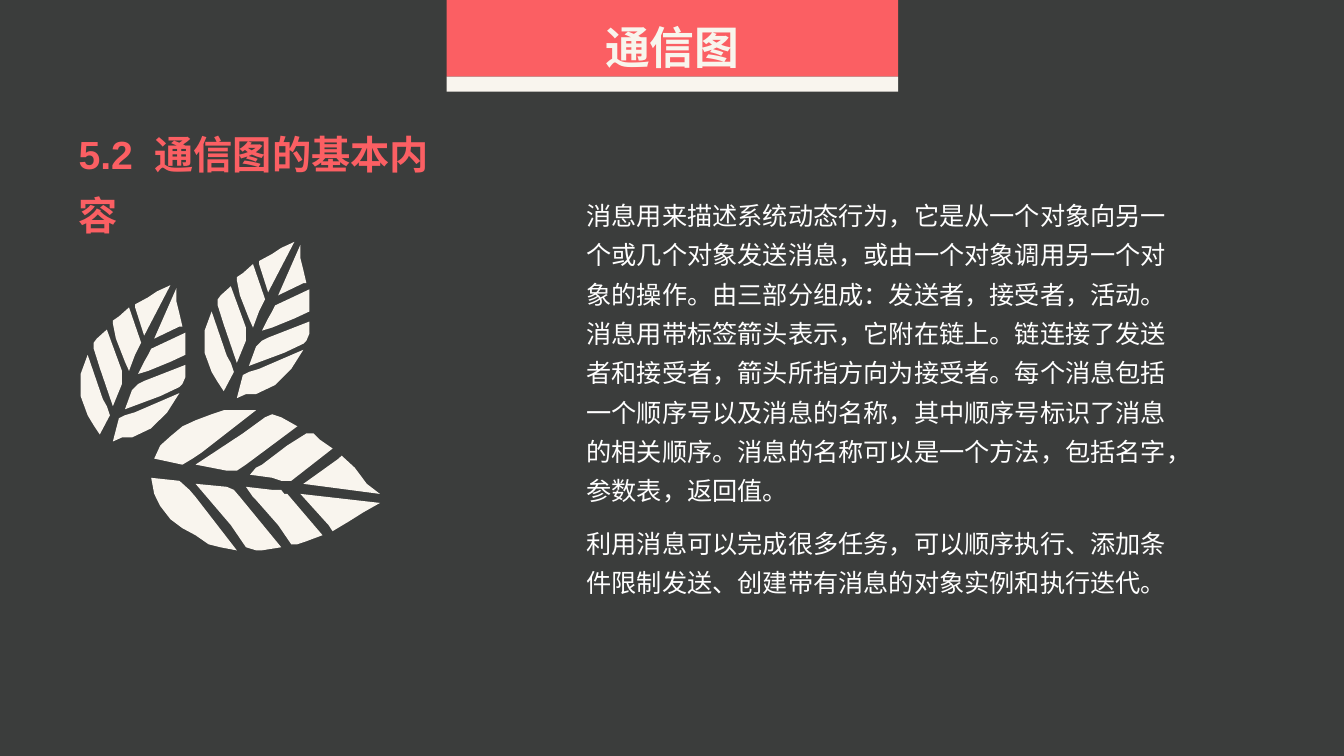
"""Build the slide on the basic content of communication diagrams."""
from dataclasses import dataclass

from lxml import etree
from pptx import Presentation
from pptx import util as u
from pptx.dml.color import RGBColor
from pptx.enum import shapes, text
from pptx.oxml import ns


@dataclass(frozen=True)
class Theme:
    back: str = "3B3D3C"
    coral: str = "FB5F63"
    cream: str = "F9F5EE"
    title: str = "F8F5ED"
    body: str = "FFFFFF"
    latin: str = "Arial"
    han: str = "Noto Sans CJK SC"
    big: int = 32
    mid: int = 28
    small: int = 18


class Deck:
    """Hold the theme and the current slide."""

    def __init__(self, theme):
        self.theme = theme
        self.prs = Presentation()
        self.prs.slide_width, self.prs.slide_height = u.Pt(960), u.Pt(540)
        self.slide = self.prs.slides.add_slide(self.prs.slide_layouts[6])
        self.paint(self.slide.background, theme.back)

    def paint(self, item, color):
        item.fill.solid()
        item.fill.fore_color.rgb = RGBColor.from_string(color)

    def finish(self, shape, color):
        self.paint(shape, color)
        shape.line.fill.background()
        shape.shadow.inherit = False

    def bar(self, box, color):
        kind = shapes.MSO_SHAPE.RECTANGLE
        self.finish(self.slide.shapes.add_shape(kind, *map(u.Pt, box)), color)

    def label(self, box, words, size, color, face, bold=False, mid=False):
        frame = self.slide.shapes.add_textbox(*map(u.Pt, box)).text_frame
        frame.word_wrap = True
        para = frame.paragraphs[0]
        para.line_spacing = 1.3
        if mid:
            frame.vertical_anchor = text.MSO_ANCHOR.MIDDLE
            para.alignment = text.PP_ALIGN.CENTER
        for word in words:
            para.add_run().text = word
        font = para.font
        font.name, font.size, font.bold = face, u.Pt(size), bold
        font.color.rgb = RGBColor.from_string(color)
        props = para._p.pPr.find(ns.qn("a:defRPr"))
        etree.SubElement(props, ns.qn("a:ea"), typeface=self.theme.han)
        return para

    def leaf(self, parts, dx=0, dy=0):
        group = self.slide.shapes.add_group_shape()
        for part in parts:
            first, *rest = [(x + dx, y + dy) for x, y in part]
            path = group.shapes.build_freeform(*first, scale=u.Pt(0.72))
            path.add_line_segments(rest)
            self.finish(path.convert_to_shape(), self.theme.cream)


WIDE = [
    [(326, 521), (330, 527), (345, 518), (361, 508), (377, 499), (298, 490)],
    [(270, 486), (244, 483), (251, 493), (254, 496), (276, 521), (289, 540),
     (295, 540), (304, 537), (320, 531), (285, 490), (282, 490), (279, 486)],
    [(225, 483), (194, 480), (229, 521), (244, 543), (254, 546), (260, 546),
     (279, 543), (238, 493), (232, 486)],
    [(178, 477), (150, 474), (153, 490), (159, 502), (169, 515), (181, 524),
     (194, 531), (207, 540), (219, 543), (235, 546), (194, 493), (188, 486)],
    [(352, 464), (339, 452), (336, 455), (301, 480), (377, 490), (364, 480)],
    [(260, 461), (254, 464), (248, 471), (270, 474), (279, 477), (289, 477),
     (330, 445), (317, 436), (311, 430), (304, 430), (285, 442)],
    [(244, 461), (295, 423), (279, 414), (270, 411), (263, 414), (241, 430),
     (194, 461), (225, 467), (235, 467)],
    [(153, 455), (181, 461), (191, 455), (200, 449), (254, 407), (222, 407),
     (210, 411), (194, 417), (181, 423), (169, 433), (159, 442)],
]
TALL = [
    [(169, 283), (156, 289), (147, 295), (134, 302), (134, 305), (143, 333)],
    [(124, 359), (128, 368), (134, 352), (137, 346), (140, 340), (128, 305),
     (118, 314), (112, 318), (112, 321), (115, 336)],
    [(121, 381), (121, 368), (106, 327), (96, 336), (93, 340), (93, 346),
     (99, 365), (112, 403)],
    [(109, 412), (106, 403), (102, 396), (87, 352), (80, 371), (80, 393),
     (87, 412), (93, 422), (99, 431)],
    [(181, 324), (178, 311), (175, 299), (175, 286), (153, 336), (178, 324)],
    [(184, 330), (150, 346), (147, 352), (143, 359), (137, 371), (147, 368),
     (169, 359), (184, 352)],
    [(184, 362), (143, 378), (137, 381), (131, 387), (124, 406), (159, 393),
     (178, 384), (181, 381), (184, 374)],
    [(178, 390), (134, 409), (124, 412), (118, 415), (112, 438), (121, 434),
     (131, 434), (150, 425), (166, 409)],
]
NOTES = [
    (133.2, 234, "消息用来描述系统动态行为，它是从一个对象向另一个或几个对象发送消息，"
     "或由一个对象调用另一个对象的操作。由三部分组成：发送者，接受者，活动。"
     "消息用带标签箭头表示，它附在链上。链连接了发送者和接受者，箭头所指方向为接受者。"
     "每个消息包括一个顺序号以及消息的名称，其中顺序号标识了消息的相关顺序。"
     "消息的名称可以是一个方法，包括名字，参数表，返回值。"),
    (367.2, 64, "利用消息可以完成很多任务，可以顺序执行、添加条件限制发送、"
     "创建带有消息的对象实例和执行迭代。"),
]


def main():
    look = Theme()
    deck = Deck(look)
    deck.bar((319, 0, 322.5, 54.7), look.coral)
    deck.bar((319, 54.7, 322.5, 10.8), look.cream)
    deck.label((319, 0, 322.5, 54.7), ["通信图"], look.big, look.title,
               look.han, bold=True, mid=True)
    head = deck.label((49, 79.2, 286.6, 51), ["5.2", " ", "通信图的基本内容"],
                      look.mid, look.coral, look.latin, bold=True)
    head.runs[1]._r.get_or_add_rPr().set("spc", "780")
    deck.leaf(WIDE)
    deck.leaf(TALL)
    deck.leaf(TALL, dx=123, dy=-43)
    for top, high, words in NOTES:
        deck.label((411.8, top, 431.3, high), [words], look.small, look.body,
                   look.han)
    deck.prs.save("out.pptx")


if __name__ == "__main__":
    main()
